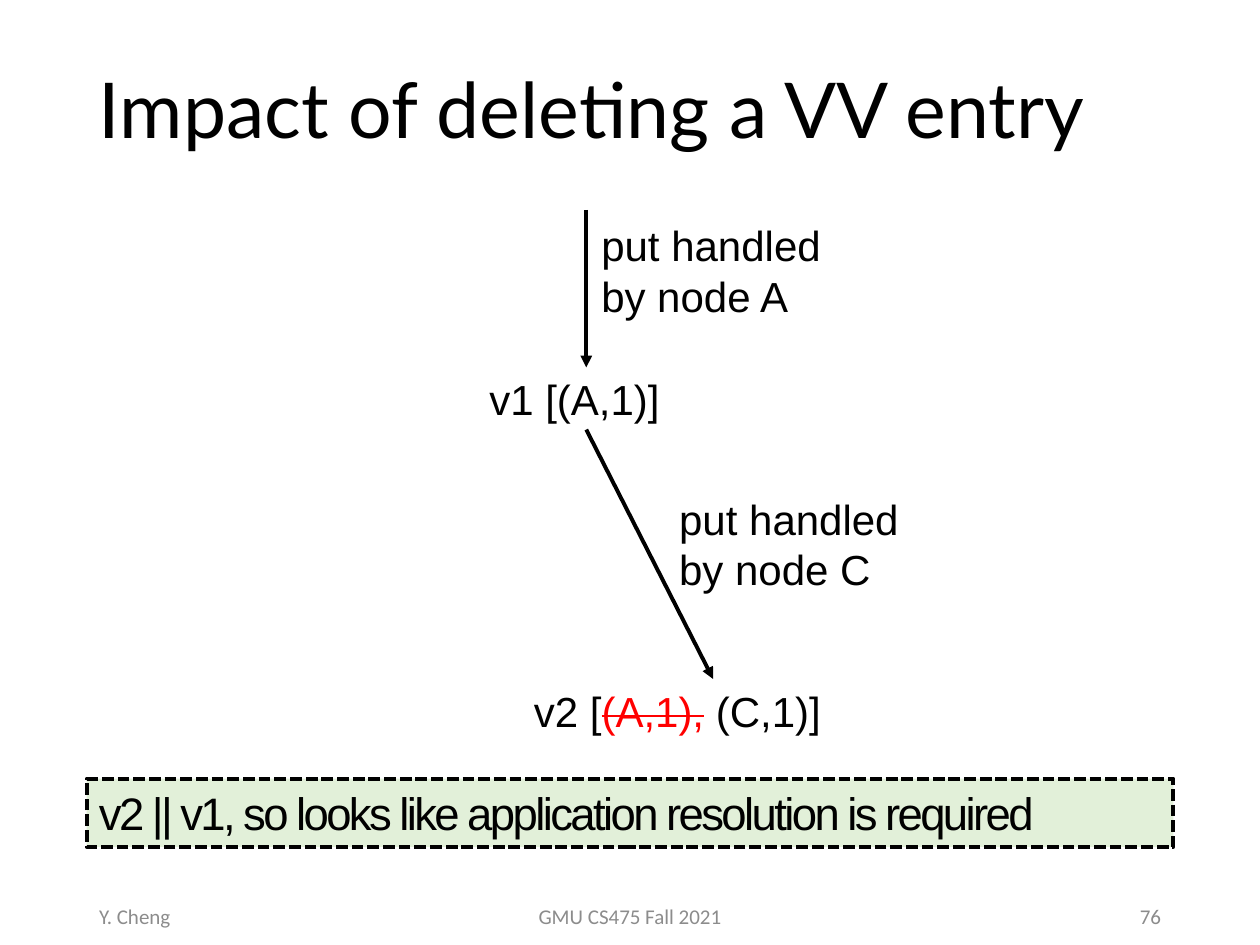
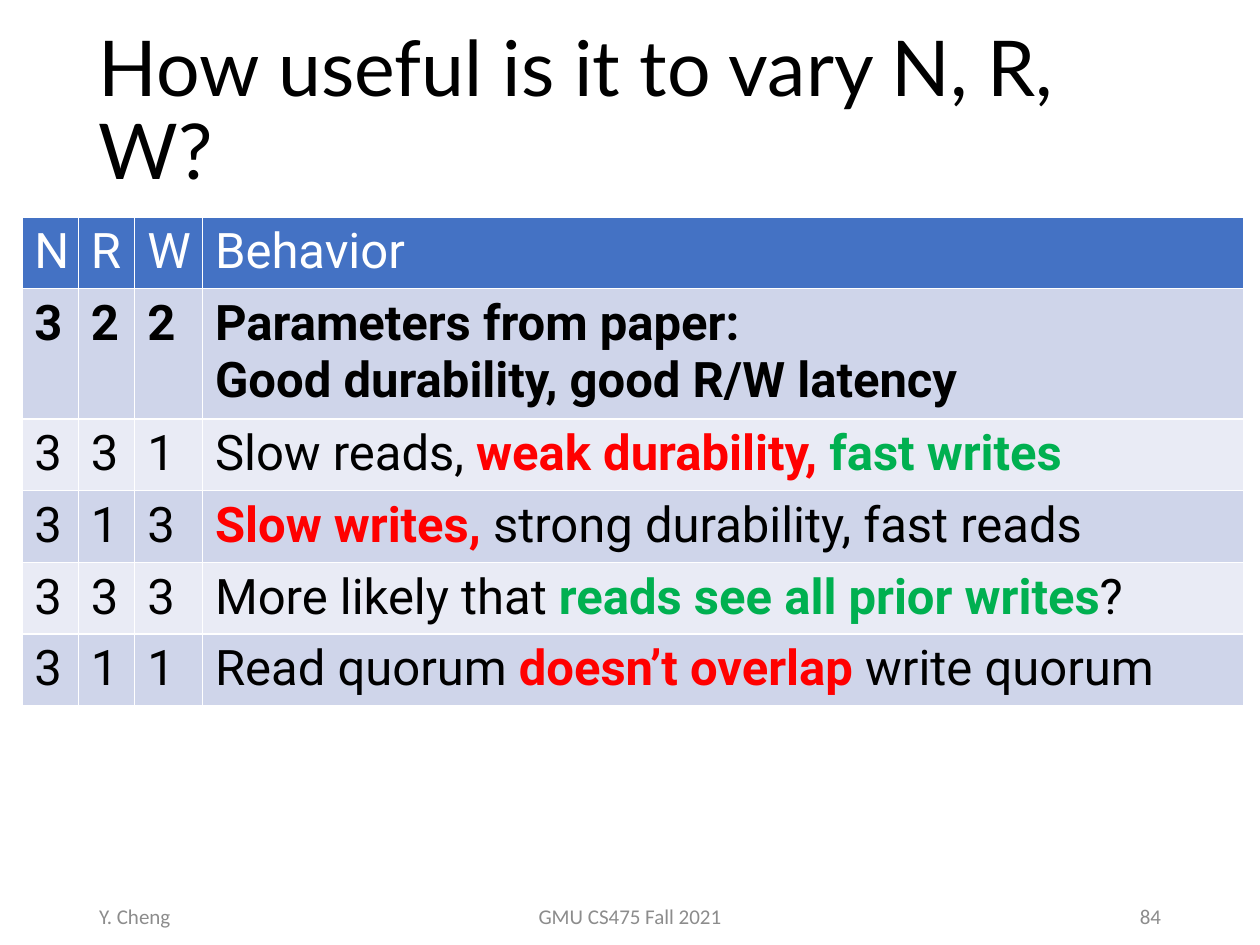
from lxml import etree
from pptx import Presentation
from pptx.dml.color import RGBColor
from pptx.enum.dml import MSO_LINE
from pptx.enum.shapes import MSO_CONNECTOR, MSO_SHAPE
from pptx.enum.text import MSO_ANCHOR, PP_ALIGN
from pptx.oxml.ns import qn
from pptx.util import Pt

STRAIGHT = MSO_CONNECTOR.STRAIGHT
RECT = MSO_SHAPE.RECTANGLE
DASH = MSO_LINE.SQUARE_DOT
TOP, MIDDLE = MSO_ANCHOR.TOP, MSO_ANCHOR.MIDDLE
LEFT, CENTER, RIGHT = PP_ALIGN.LEFT, PP_ALIGN.CENTER, PP_ALIGN.RIGHT

BLACK, WHITE, GREY = "000000", "FFFFFF", "8C8C8C"
RED, GREEN, PALE_GREEN = "FF0000", "00B050", "E2F0D9"
HEADER_FILL, BAND_FILLS = "4472C4", ("CFD5EA", "E9EBF5")

TITLE = {"name": "Lato", "size": Pt(44), "color": BLACK}
FOOTER = {"name": "Calibri", "size": Pt(12), "color": GREY}
LABEL = {"name": "Arial", "size": Pt(24), "color": BLACK}
CALLOUT = {"name": "Arial", "size": Pt(26), "color": BLACK, "spc": "-150"}
CELL = {"name": "Roboto", "size": Pt(28), "color": BLACK, "bold": False}
STRUCK = {"color": RED, "strike": "sngStrike"}
BAD = {"color": RED, "bold": True}
GOOD = {"color": GREEN, "bold": True}
STRONG = {"bold": True}

MARGIN, CONTENT_W = 49.5, 621
BEHAVIORS = [
    ("322", [[("Parameters from paper:", STRONG)],
             [("Good durability, good R/W latency", STRONG)]]),
    ("331", [["Slow reads, ", ("weak durability, ", BAD), ("fast writes", GOOD)]]),
    ("313", [[("Slow writes, ", BAD), "strong durability, fast reads"]]),
    ("333", [["More likely that ", ("reads see all prior writes", GOOD), "?"]]),
    ("311", [["Read quorum ", ("doesn’t overlap ", BAD), "write quorum"]]),
]


def rgb(hex_color):
    """Turn a hex string into a colour."""
    return RGBColor.from_string(hex_color)


def write(tf, paragraphs, fmt, align=LEFT, spacing=None):
    """Fill a text frame with paragraphs of plain or styled runs."""
    for i, runs in enumerate(paragraphs):
        p = tf.add_paragraph() if i else tf.paragraphs[0]
        p.alignment, p.line_spacing = align, spacing
        for run in runs:
            text, extra = (run, {}) if isinstance(run, str) else run
            r = p.add_run()
            r.text = text
            for key, value in {**fmt, **extra}.items():
                if key == "color":
                    r.font.color.rgb = rgb(value)
                elif key in ("spc", "strike"):
                    r.font._element.set(key, value)
                else:
                    setattr(r.font, key, value)


def add_text(shapes, box, runs, fmt, anchor=TOP, align=LEFT, spacing=None):
    """Add a wrapping one-paragraph text box."""
    tf = shapes.add_textbox(*map(Pt, box)).text_frame
    tf.word_wrap, tf.vertical_anchor = True, anchor
    write(tf, [runs], fmt, align, spacing)


def add_arrow(shapes, x1, y1, x2, y2):
    """Add a black straight arrow."""
    sp = shapes.add_connector(STRAIGHT, *map(Pt, (x1, y1, x2, y2)))
    sp.line.color.rgb, sp.line.width = rgb(BLACK), Pt(2.25)
    etree.SubElement(sp.line._get_or_add_ln(), qn("a:tailEnd"), type="triangle")
    etree.SubElement(sp._element.spPr, qn("a:effectLst"))


def add_frame(prs, title, number):
    """Add a blank slide with the shared title and footer."""
    s = prs.slides.add_slide(prs.slide_layouts[6])
    add_text(s.shapes, (MARGIN, 12.5, CONTENT_W, 104.4), [title], TITLE, MIDDLE, spacing=0.9)
    side_w, mid_w = 162, 243
    for x, w, text, align in (
        (MARGIN, side_w, "Y. Cheng", LEFT),
        (MARGIN + (CONTENT_W - mid_w) / 2, mid_w, "GMU CS475 Fall 2021", CENTER),
        (MARGIN + CONTENT_W - side_w, side_w, str(number), RIGHT),
    ):
        add_text(s.shapes, (x, 509, w, 28.8), [text], FOOTER, MIDDLE, align)
    return s


def add_versions(s, x, y):
    """Draw the chain of puts, with its first arrow starting at x, y."""
    add_arrow(s.shapes, x, y, x, y + 90)
    add_text(s.shapes, (x + 1.5, y + 2, 142.5, 65.5), ["put handled by node A"], LABEL)
    add_text(s.shapes, (x - 62.5, y + 90, 126, 36), ["v1 [(A,1)]"], LABEL)
    branch = s.shapes.add_group_shape().shapes
    add_arrow(branch, x, y + 125.5, x + 72.5, y + 268)
    add_text(branch, (x + 46, y + 158.5, 142.5, 64), ["put handled by node C"], LABEL)
    add_text(branch, (x - 37, y + 268, 219, 35.5), ["v2 [", ("(A,1),", STRUCK), " (C,1)]"], LABEL)


def add_callout(s, box, text):
    """Add the dashed conclusion box."""
    sp = s.shapes.add_shape(RECT, *map(Pt, box))
    sp.shadow.inherit = False
    sp.fill.solid()
    sp.fill.fore_color.rgb = rgb(PALE_GREEN)
    sp.line.color.rgb, sp.line.width, sp.line.dash_style = rgb(BLACK), Pt(2.25), DASH
    sp.text_frame.word_wrap, sp.text_frame.vertical_anchor = True, TOP
    write(sp.text_frame, [[text]], CALLOUT)


def add_behavior_table(s, x, y):
    """Add the table of N, R, W settings and their behavior."""
    widths, row_h = (32.25, 32.25, 38.75, 595.25), 41
    rows = [[[[head]] for head in ("N", "R", "W", "Behavior")]]
    for i, (digits, behavior) in enumerate(BEHAVIORS):
        rows.append([[[(d, {"bold": i == 0})]] for d in digits] + [behavior])
    box = (x, y, sum(widths), row_h * len(rows))
    table = s.shapes.add_table(len(rows), len(widths), *map(Pt, box)).table
    for column, w in zip(table.columns, widths):
        column.width = Pt(w)
    for i, row in enumerate(rows):
        fill = BAND_FILLS[(i - 1) % 2] if i else HEADER_FILL
        fmt = CELL if i else {**CELL, "color": WHITE}
        for j, paragraphs in enumerate(row):
            cell = table.cell(i, j)
            cell.fill.solid()
            cell.fill.fore_color.rgb = rgb(fill)
            write(cell.text_frame, paragraphs, fmt)


def main():
    """Build both slides and save them."""
    prs = Presentation()
    prs.slide_width, prs.slide_height = Pt(720), Pt(540)
    s = add_frame(prs, "Impact of deleting a VV entry", 76)
    add_versions(s, 335, 120)
    add_callout(s, (MARGIN, 445, CONTENT_W, 39),
                "v2 || v1, so looks like application resolution is required")
    s = add_frame(prs, "How useful is it to vary N, R, W?", 84)
    add_behavior_table(s, 12.5, 124)
    prs.save("out.pptx")


if __name__ == "__main__":
    main()
